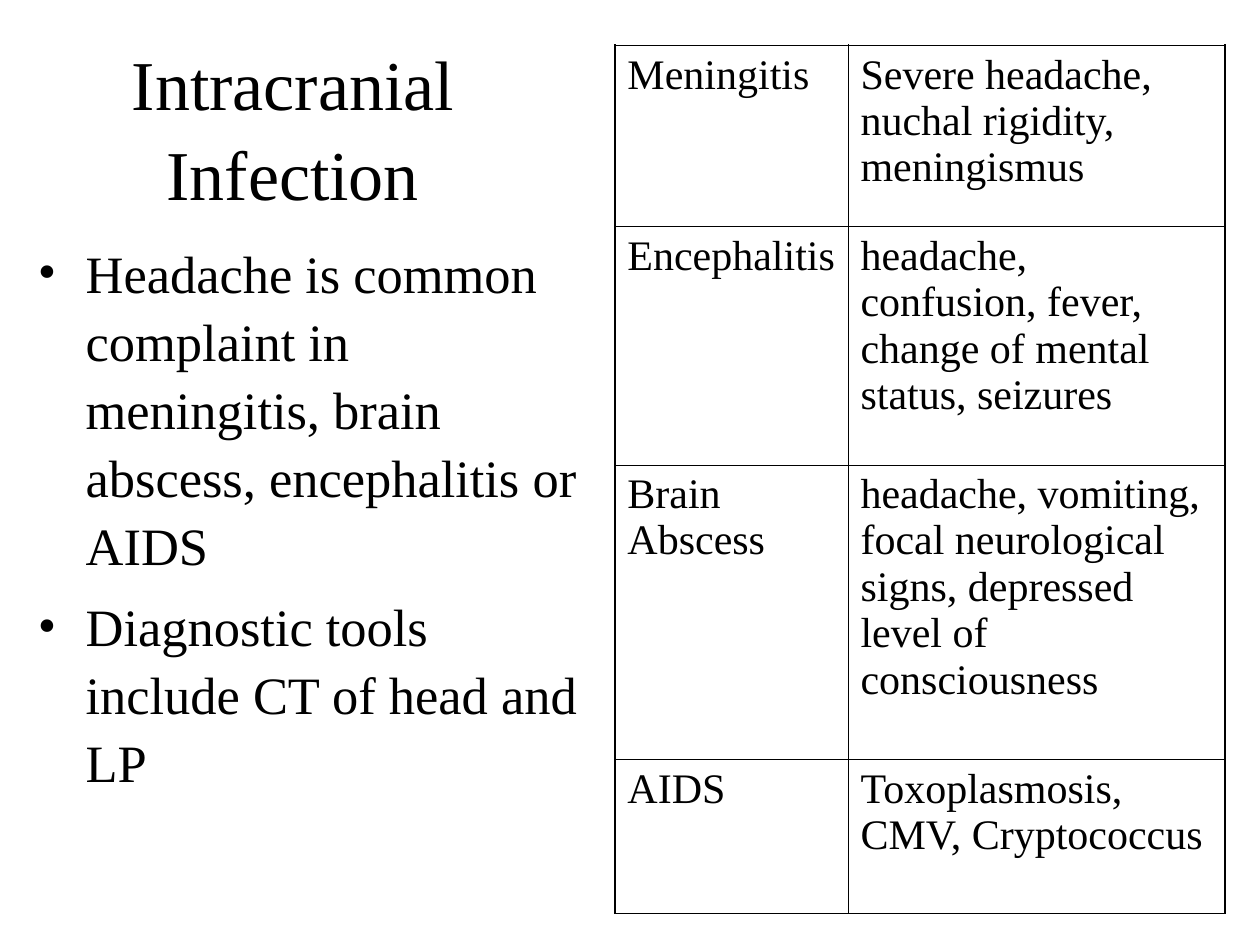
import lxml.etree
import pptx
import pptx.dml.color
import pptx.enum.text
import pptx.oxml.ns
import pptx.util

Inches = pptx.util.Inches
Pt = pptx.util.Pt
qn = pptx.oxml.ns.qn

FONT = "Times New Roman"
COLORS = {"text": "000000", "line": "000000", "back": "FFFFFF"}
THIN, THICK = 0.45, 1.08

POINTS = [
    "Headache is common complaint in meningitis, brain abscess, encephalitis or AIDS",
    "Diagnostic tools include CT of head and LP",
]
SIGNS = [
    ("Meningitis", "Severe headache, nuchal rigidity, meningismus"),
    ("Encephalitis", "headache, confusion, fever, change of mental status, seizures"),
    ("Brain Abscess", "headache, vomiting, focal neurological signs, "
                      "depressed level of consciousness"),
    ("AIDS", "Toxoplasmosis, CMV, Cryptococcus"),
]
WIDTHS = [1.85, 2.99]
HEIGHTS = [1.44, 1.89, 2.34, 1.22]


def color(name):
    return pptx.dml.color.RGBColor.from_string(COLORS[name])


def place(shape, left, top, width, height):
    shape.left, shape.top = Inches(left), Inches(top)
    shape.width, shape.height = Inches(width), Inches(height)


def add_run(para, text, size):
    run = para.add_run()
    run.text = text
    run.font.size = Pt(size)
    run.font.name = FONT
    run.font.color.rgb = color("text")


def set_frame(frame, anchor):
    frame.word_wrap = True
    frame.auto_size = pptx.enum.text.MSO_AUTO_SIZE.NONE
    frame.vertical_anchor = anchor


def add_bullet(para):
    props = para._p.get_or_add_pPr()
    props.set("marL", str(Inches(0.38)))
    props.set("indent", str(-Inches(0.38)))
    tint = lxml.etree.SubElement(props, qn("a:buClr"))
    lxml.etree.SubElement(tint, qn("a:srgbClr"), val=COLORS["text"])
    lxml.etree.SubElement(props, qn("a:buFont"), typeface=FONT)
    lxml.etree.SubElement(props, qn("a:buChar"), char="•")


def fill_title(shape):
    place(shape, 0, 0.36, 4.65, 1.25)
    set_frame(shape.text_frame, pptx.enum.text.MSO_ANCHOR.MIDDLE)
    para = shape.text_frame.paragraphs[0]
    para.alignment = pptx.enum.text.PP_ALIGN.CENTER
    para.line_spacing = 1.08
    add_run(para, "Intracranial Infection", 40)


def fill_list(shape):
    place(shape, 0.2, 1.82, 4.57, 4.92)
    frame = shape.text_frame
    set_frame(frame, pptx.enum.text.MSO_ANCHOR.TOP)
    for i, text in enumerate(POINTS):
        para = frame.add_paragraph() if i else frame.paragraphs[0]
        add_bullet(para)
        para.line_spacing = 1.08
        para.space_before = Pt(7.5 if i else 0)
        add_run(para, text, 30)


def set_edges(cell, edges):
    props = cell._tc.get_or_add_tcPr()
    # Edge lines come before the fill
    for i, (side, width) in enumerate(edges.items()):
        line = lxml.etree.Element(qn("a:ln" + side), w=str(Pt(width)))
        fill = lxml.etree.SubElement(line, qn("a:solidFill"))
        lxml.etree.SubElement(fill, qn("a:srgbClr"), val=COLORS["line"])
        props.insert(i, line)


def fill_cell(cell, text, edges):
    cell.fill.background()
    cell.margin_left = cell.margin_right = Inches(0.1)
    cell.margin_top = cell.margin_bottom = Inches(0.05)
    add_run(cell.text_frame.paragraphs[0], text, 24)
    set_edges(cell, edges)


def add_grid(slide):
    rows, cols = len(HEIGHTS), len(WIDTHS)
    frame = slide.shapes.add_table(
        rows, cols, Inches(4.88), Inches(0.36),
        Inches(sum(WIDTHS)), Inches(sum(HEIGHTS)))
    table = frame.table
    table.first_row = table.horz_banding = False
    for col, width in zip(table.columns, WIDTHS):
        col.width = Inches(width)
    for r, texts in enumerate(SIGNS):
        table.rows[r].height = Inches(HEIGHTS[r])
        for c, text in enumerate(texts):
            # Thick outer frame, thin inner lines
            outer = {"L": c == 0, "R": c == cols - 1,
                     "T": r == 0, "B": r == rows - 1}
            edges = {side: THICK if out else THIN for side, out in outer.items()}
            fill_cell(table.cell(r, c), text, edges)


def main():
    deck = pptx.Presentation()
    deck.slide_width, deck.slide_height = Inches(10), Inches(7.5)
    slide = deck.slides.add_slide(deck.slide_layouts[1])
    slide.background.fill.solid()
    slide.background.fill.fore_color.rgb = color("back")

    # Left: title and list
    fill_title(slide.shapes.title)
    fill_list(slide.placeholders[1])

    # Right: signs of each illness
    add_grid(slide)
    deck.save("out.pptx")


if __name__ == "__main__":
    main()
